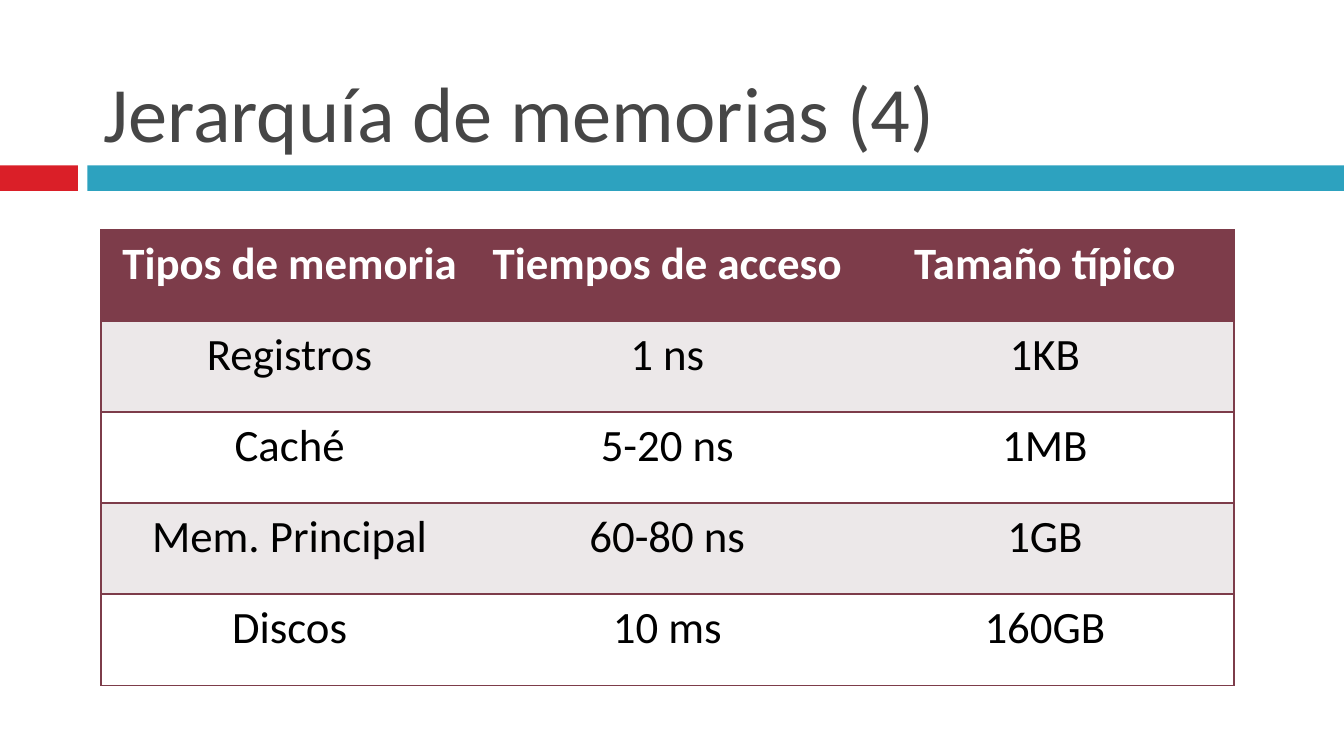
"""Build a slide with a table comparing the levels of the memory hierarchy."""
from lxml.etree import SubElement
from pptx import Presentation
from pptx.dml.color import RGBColor
from pptx.enum.shapes import MSO_SHAPE
from pptx.enum.text import MSO_ANCHOR, PP_ALIGN
from pptx.oxml.ns import qn
from pptx.util import Inches, Pt

COLORS = {
    "red": "DA1F28", "blue": "2DA2BF", "title": "464646", "wine": "7D3C4A",
    "band": "ECE8E9", "white": "FFFFFF", "black": "000000",
}
FONT = "Calibri"
NO_GRID_STYLE = "{2D5ABB26-0587-4C30-8999-92F81FD0307C}"
MEMORIES = [
    ("Tipos de memoria", "Tiempos de acceso", "Tamaño típico"),
    ("Registros", "1 ns", "1KB"),
    ("Caché", "5-20 ns", "1MB"),
    ("Mem. Principal", "60-80 ns", "1GB"),
    ("Discos", "10 ms", "160GB"),
]


def style_text(paragraph, size, color, bold=False):
    font = paragraph.font
    font.name, font.size, font.bold = FONT, Pt(size), bold
    font.color.rgb = RGBColor.from_string(COLORS[color])


def add_border(cell, side):
    line = SubElement(cell._tc.get_or_add_tcPr(), qn(f"a:ln{side}"), w=str(Pt(1)))
    fill = SubElement(line, qn("a:solidFill"))
    SubElement(fill, qn("a:srgbClr"), val=COLORS["wine"])


presentation = Presentation()
presentation.slide_width = Inches(10)
presentation.slide_height = presentation.slide_width * 9 // 16
slide = presentation.slides.add_slide(presentation.slide_layouts[5])

for left, width, color in ((0, 0.58, "red"), (0.65, 9.35, "blue")):
    stripe = slide.shapes.add_shape(
        MSO_SHAPE.RECTANGLE, Inches(left), Inches(1.23), Inches(width), Inches(0.19))
    stripe.shadow.inherit = False
    stripe.fill.solid()
    stripe.fill.fore_color.rgb = RGBColor.from_string(COLORS[color])
    stripe.line.fill.background()

title = slide.shapes.title
title.left, title.top = Inches(0.67), Inches(0.13)
title.width, title.height = Inches(8.92), Inches(1.1)
title.text_frame.text = "Jerarquía de memorias (4)"
title.text_frame.vertical_anchor = MSO_ANCHOR.BOTTOM
heading = title.text_frame.paragraphs[0]
heading.alignment = PP_ALIGN.LEFT
style_text(heading, 42, "title")

column_count, row_count = len(MEMORIES[0]), len(MEMORIES)
table = slide.shapes.add_table(
    row_count, column_count,
    Inches(0.75), Inches(1.71), Inches(8.43), Inches(3.39)).table
table._tbl.tblPr.find(qn("a:tableStyleId")).text = NO_GRID_STYLE

for row, memory in enumerate(MEMORIES):
    header = row == 0
    background = "wine" if header else "band" if row % 2 else "white"
    for column, value in enumerate(memory):
        cell = table.cell(row, column)
        cell.text = value
        paragraph = cell.text_frame.paragraphs[0]
        paragraph.alignment = PP_ALIGN.CENTER
        style_text(paragraph, 24, "white" if header else "black", header)
        if column == 0:
            add_border(cell, "L")
        if column == column_count - 1:
            add_border(cell, "R")
        add_border(cell, "T")
        add_border(cell, "B")
        cell.fill.solid()
        cell.fill.fore_color.rgb = RGBColor.from_string(COLORS[background])

presentation.save("out.pptx")
